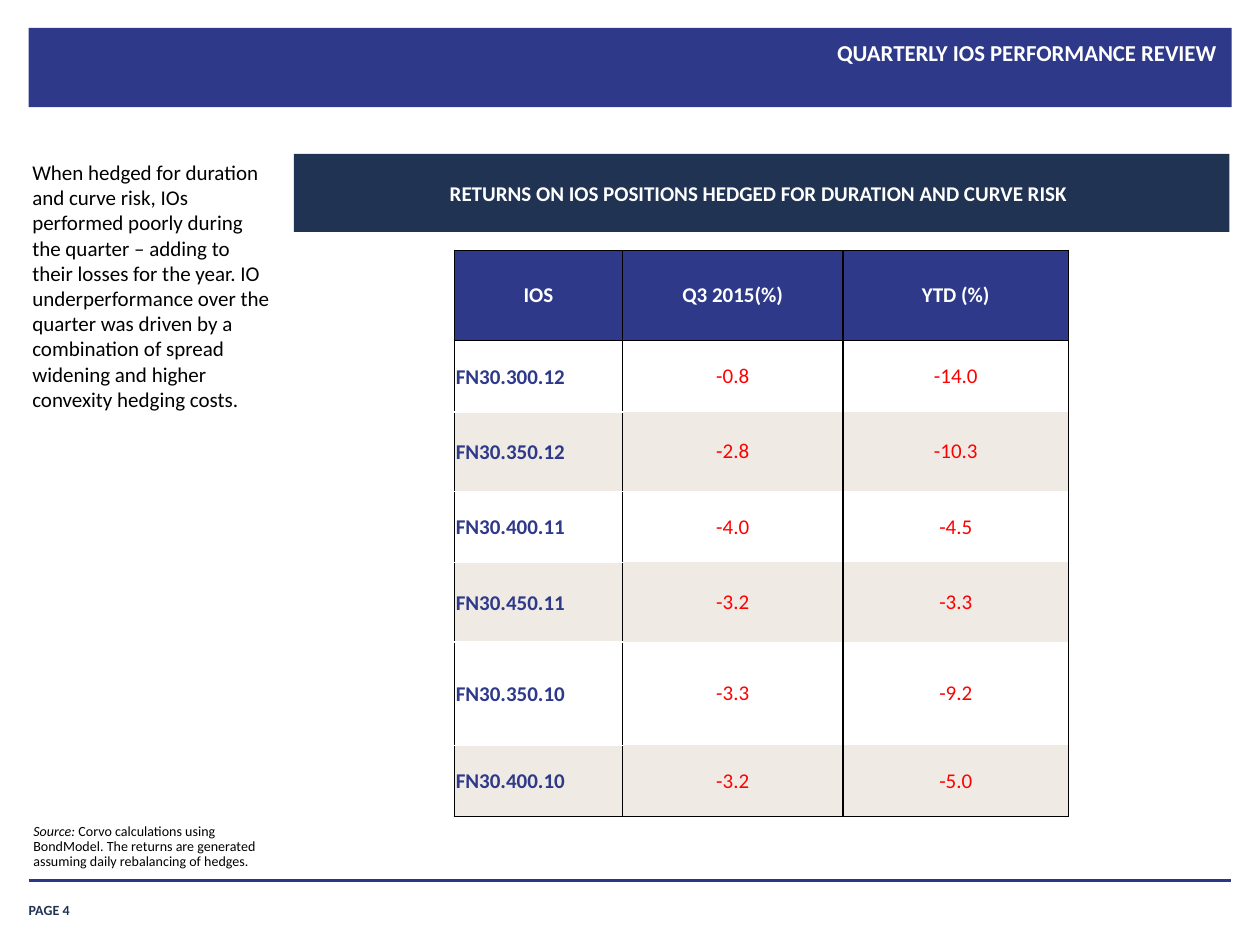
from lxml import etree
from pptx import Presentation
from pptx.dml.color import RGBColor
from pptx.enum import shapes, text
from pptx.oxml import ns
from pptx.util import Pt

NAVY = RGBColor(0x2E, 0x39, 0x8A)
RULE = RGBColor(0x2B, 0x36, 0x89)
INK = RGBColor(0x20, 0x33, 0x53)
BEIGE = RGBColor(0xEF, 0xEB, 0xE4)
RED = RGBColor(0xFF, 0x00, 0x00)
BLACK = RGBColor(0x00, 0x00, 0x00)
WHITE = RGBColor(0xFF, 0xFF, 0xFF)

LEFT, CENTER, RIGHT = text.PP_ALIGN.LEFT, text.PP_ALIGN.CENTER, text.PP_ALIGN.RIGHT
TOP, MIDDLE, BOTTOM = text.MSO_ANCHOR.TOP, text.MSO_ANCHOR.MIDDLE, text.MSO_ANCHOR.BOTTOM
PADDED = (7.2, 3.6, 7.2, 3.6)
CELL = (6.5, 3.2, 6.5, 3.2)
TIGHT = (0.75, 0.75, 0.75, 0)


class Page:
    font = "Calibri"

    def __init__(self, slide):
        self.slide = slide

    def add_run(self, p, words, size, color, align=LEFT, bold=False, italic=False):
        p.alignment = align
        r = p.add_run()
        r.text = words
        f = r.font
        f.name, f.size, f.bold, f.italic = self.font, Pt(size), bold, italic
        f.color.rgb = color

    def frame(self, tf, insets, anchor):
        tf.word_wrap = True
        tf.auto_size = text.MSO_AUTO_SIZE.NONE
        tf.vertical_anchor = anchor
        (tf.margin_left, tf.margin_top,
         tf.margin_right, tf.margin_bottom) = map(Pt, insets)
        return tf.paragraphs[0]

    def title(self, box, words):
        sp = self.slide.shapes.title
        sp.left, sp.top, sp.width, sp.height = map(Pt, box)
        p = self.frame(sp.text_frame, PADDED, TOP)
        self.add_run(p, words, 13, WHITE, RIGHT, bold=True)
        return sp

    def bar(self, box, color):
        sp = self.slide.shapes.add_shape(shapes.MSO_SHAPE.RECTANGLE, *map(Pt, box))
        sp.shadow.inherit = False
        sp.fill.solid()
        sp.fill.fore_color.rgb = color
        sp.line.fill.background()
        return sp

    def text_box(self, box, insets=PADDED, anchor=TOP):
        sp = self.slide.shapes.add_textbox(*map(Pt, box))
        return self.frame(sp.text_frame, insets, anchor)

    def rule(self, x1, x2, y, color, width):
        line = self.slide.shapes.add_connector(
            shapes.MSO_CONNECTOR.STRAIGHT, Pt(x1), Pt(y), Pt(x2), Pt(y))
        line.line.color.rgb = color
        line.line.width = Pt(width)
        etree.SubElement(line.element.spPr, ns.qn("a:effectLst"))

    def borders(self, cell, top, bottom):
        tc_pr = cell._tc.get_or_add_tcPr()
        for side, color in zip("LRTB", (BLACK, BLACK, top, bottom)):
            ln = etree.SubElement(tc_pr, ns.qn(f"a:ln{side}"), w=str(Pt(1)))
            if color is None:
                etree.SubElement(ln, ns.qn("a:noFill"))
            else:
                fill = etree.SubElement(ln, ns.qn("a:solidFill"))
                etree.SubElement(fill, ns.qn("a:srgbClr"), val=str(color))

    def table(self, left, top, widths, heights, rows):
        table = self.slide.shapes.add_table(
            len(rows), len(widths), Pt(left), Pt(top),
            Pt(sum(widths)), Pt(sum(heights))).table
        table.first_row = table.horz_banding = False
        for col, width in zip(table.columns, widths):
            col.width = Pt(width)
        for i, values in enumerate(rows):
            table.rows[i].height = Pt(heights[i])
            for j, value in enumerate(values):
                self.cell(table.cell(i, j), value, i, j, len(rows) - 1)

    def cell(self, cell, value, i, j, last):
        header, label = i == 0, j == 0
        # Only the label column has white lines between its rows
        inner = WHITE if label else None
        self.borders(cell, BLACK if i < 2 else inner,
                     BLACK if i in (0, last) else inner)
        cell.fill.solid()
        cell.fill.fore_color.rgb = NAVY if header else WHITE if i % 2 else BEIGE
        cell.vertical_anchor = MIDDLE
        (cell.margin_left, cell.margin_top, cell.margin_right,
         cell.margin_bottom) = map(Pt, TIGHT if label and not header else CELL)
        color = WHITE if header else NAVY if label else RED
        align = LEFT if label and not header else CENTER
        self.add_run(cell.text_frame.paragraphs[0], value, 12, color, align,
                     bold=header or label)


def main():
    prs = Presentation()
    prs.slide_width, prs.slide_height = Pt(720), Pt(540)
    page = Page(prs.slides.add_slide(prs.slide_layouts[5]))

    # Title on its band
    title = page.title((88.5, 18.7, 613.5, 42.5), "QUARTERLY IOS PERFORMANCE REVIEW")
    band = page.bar((16.4, 16, 687.4, 45.2), NAVY)
    title.element.addprevious(band.element)

    # Footer
    page.rule(16.4, 703.5, 503.1, RULE, 2)
    p = page.text_box((16.4, 509.8, 59, 15), (0, 0, 0, 0), BOTTOM)
    page.add_run(p, "PAGE 4", 8, INK, bold=True)

    # Table heading
    heading = page.bar((168, 88, 534.5, 44.5), INK)
    p = page.frame(heading.text_frame, (3.6, 3.6, 7.2, 3.6), MIDDLE)
    page.add_run(p, "RETURNS ON IOS POSITIONS HEDGED FOR DURATION AND CURVE RISK",
                 12, WHITE, CENTER, bold=True)

    # Commentary and source
    p = page.text_box((12, 88, 150, 196), CELL)
    page.add_run(p, "When hedged for duration and curve risk, IOs performed poorly "
                 "during the quarter – adding to their losses for the year. IO "
                 "underperformance over the quarter was driven by a combination of "
                 "spread widening and higher convexity hedging costs.", 12, BLACK)
    p = page.text_box((12, 467, 150, 33.5), anchor=BOTTOM)
    p.line_spacing = 0.9
    page.add_run(p, "Source: ", 8, BLACK, italic=True)
    page.add_run(p, "Corvo calculations using BondModel. The returns are generated "
                 "assuming daily rebalancing of hedges.", 8, BLACK)

    # Returns table
    page.table(259.7, 143.2, (96, 126, 129),
               (51.5, 40.7, 45.4, 40.7, 45.4, 59.2, 40.7), [
                   ("IOS", "Q3 2015(%)", "YTD (%)"),
                   ("FN30.300.12", "-0.8", "-14.0"),
                   ("FN30.350.12", "-2.8", "-10.3"),
                   ("FN30.400.11", "-4.0", "-4.5"),
                   ("FN30.450.11", "-3.2", "-3.3"),
                   ("FN30.350.10", "-3.3", "-9.2"),
                   ("FN30.400.10", "-3.2", "-5.0"),
               ])

    prs.save("out.pptx")


if __name__ == "__main__":
    main()
